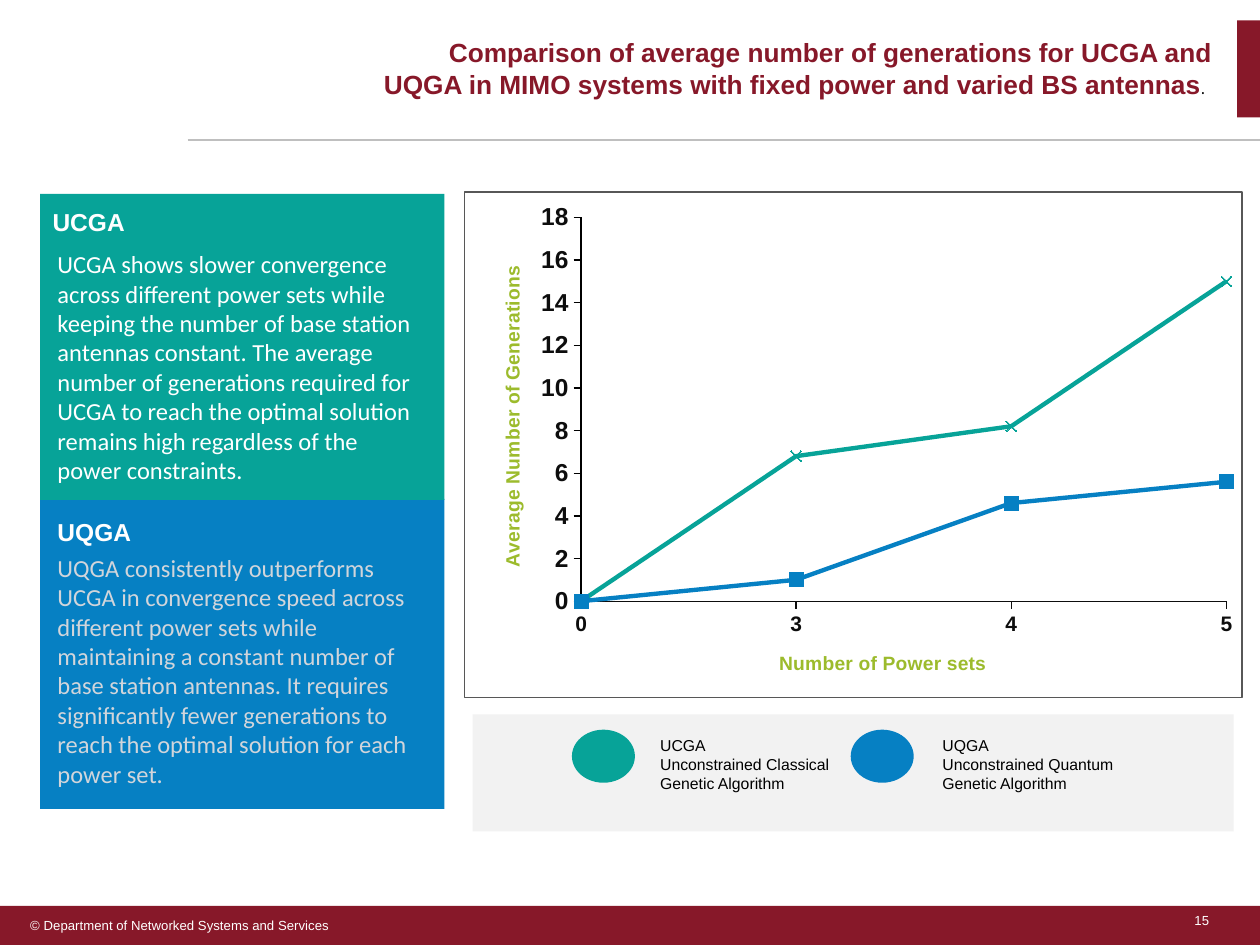
import pptx
import pptx.chart.data
import pptx.dml.color
import pptx.enum.chart
import pptx.enum.shapes
import pptx.enum.text
import pptx.oxml
import pptx.oxml.ns
import pptx.util
from dataclasses import dataclass

Cm, Pt = pptx.util.Cm, pptx.util.Pt
SHAPE = pptx.enum.shapes.MSO_SHAPE
ANCHOR = pptx.enum.text.MSO_ANCHOR
ALIGN = pptx.enum.text.PP_ALIGN
MARKER = pptx.enum.chart.XL_MARKER_STYLE
NAMESPACES = pptx.oxml.ns.nsdecls("a", "c")


@dataclass(frozen=True)
class Theme:
    maroon: str = "871829"
    teal: str = "07A398"
    blue: str = "0680C3"
    green: str = "9CBB2C"
    white: str = "FFFFFF"
    black: str = "000000"
    ink: str = "0D0D0D"
    pale: str = "D1D5DB"
    panel: str = "F2F2F2"
    rule: str = "BFBFBF"
    border: str = "575757"
    title_size: float = 15
    body_size: float = 14
    axis_size: float = 12
    axis_title_size: float = 11
    legend_size: float = 9
    footer_size: float = 7.5


THEME = Theme()


def rgb(value):
    return pptx.dml.color.RGBColor.from_string(value)


def set_font(font, color, **formats):
    font.color.rgb = rgb(color)
    for name, value in formats.items():
        setattr(font, name, value)


def set_formats(target, **formats):
    for name, value in formats.items():
        setattr(target, name, value)


def write_text(shape, lines, size, color, bold=False, font="Arial", **frame_formats):
    set_formats(shape.text_frame, **{"word_wrap": True, **frame_formats})
    shape.text_frame.text = "\n".join(lines)
    for paragraph in shape.text_frame.paragraphs:
        paragraph.alignment = ALIGN.LEFT
        for run in paragraph.runs:
            set_font(run.font, color, name=font, size=Pt(size), bold=bold)


def add_block(slide, box, color, kind=SHAPE.RECTANGLE):
    shape = slide.shapes.add_shape(kind, *map(Cm, box))
    shape.shadow.inherit = False
    shape.fill.solid()
    shape.fill.fore_color.rgb = rgb(color)
    shape.line.fill.background()
    return shape


def add_text(slide, box, *text, **formats):
    write_text(slide.shapes.add_textbox(*map(Cm, box)), *text, **formats)


def add_rule(slide, start, end):
    line = slide.shapes.add_connector(
        pptx.enum.shapes.MSO_CONNECTOR.STRAIGHT, *map(Cm, start + end))
    line.line.color.rgb = rgb(THEME.rule)
    line.line.width = Pt(0.75)
    line._element.spPr.append(pptx.oxml.parse_xml(f"<a:effectLst {NAMESPACES}/>"))


def fill_title(slide):
    title = slide.shapes.title
    title.left, title.top, title.width, title.height = map(Cm, (7.32, 0.61, 17.37, 2.36))
    set_formats(title.text_frame, word_wrap=True, vertical_anchor=ANCHOR.TOP,
                auto_size=pptx.enum.text.MSO_AUTO_SIZE.NONE)
    paragraph = title.text_frame.paragraphs[0]
    paragraph.alignment = ALIGN.RIGHT
    heading = ("Comparison of average number of generations for UCGA and "
               "UQGA in MIMO systems with fixed power and varied BS antennas")
    for text, font, size, color, bold in (
            (heading, "Arial", THEME.title_size, THEME.maroon, True),
            (".", "Cambria", 10.5, THEME.black, False),
            (" ", "Arial", THEME.title_size, THEME.maroon, True)):
        run = paragraph.add_run()
        run.text = text
        set_font(run.font, color, name=font, size=Pt(size), bold=bold)


def format_axis(axis, title, size, line_color):
    set_formats(axis, has_major_gridlines=False,
                major_tick_mark=pptx.enum.chart.XL_TICK_MARK.OUTSIDE)
    set_font(axis.tick_labels.font, THEME.ink, name="Arial", size=Pt(size), bold=True)
    axis.format.line.color.rgb = rgb(line_color)
    axis.format.line.width = Pt(0.75)
    axis.axis_title.text_frame.text = title
    set_font(axis.axis_title.text_frame.paragraphs[0].runs[0].font, THEME.green,
             name="Arial", size=Pt(THEME.axis_title_size), bold=True)


def layout_xml(target, **fractions):
    """Manual placement, as fractions of the chart's width and height."""
    inner = '<c:layoutTarget val="inner"/>' if target else ""
    modes = '<c:xMode val="edge"/><c:yMode val="edge"/>'
    places = "".join(f'<c:{name} val="{value}"/>' for name, value in fractions.items())
    return pptx.oxml.parse_xml(f"<c:layout {NAMESPACES}><c:manualLayout>{inner}{modes}"
                               f"{places}</c:manualLayout></c:layout>")


def place(element, layout, index):
    for old in element.findall(pptx.oxml.ns.qn("c:layout")):
        element.remove(old)
    element.insert(index, layout)


def add_line_chart(slide, box):
    data = pptx.chart.data.CategoryChartData()
    data.categories = ["0", "3", "4", "5"]
    data.add_series("Series 1", (0, 6.8, 8.2, 15))
    data.add_series("Series 2", (0, 1, 4.6, 5.6))
    chart = slide.shapes.add_chart(
        pptx.enum.chart.XL_CHART_TYPE.LINE_MARKERS, *map(Cm, box), data).chart
    set_formats(chart, has_legend=False, has_title=False)
    set_font(chart.font, THEME.green, name="Arial", size=Pt(18))
    chart.plots[0].vary_by_categories = False

    # Series
    styles = ((THEME.teal, MARKER.X, 6), (THEME.blue, MARKER.SQUARE, 8))
    for series, (color, marker, size) in zip(chart.plots[0].series, styles):
        series.smooth = False
        set_formats(series.marker, style=marker, size=size)
        series.marker.format.fill.solid()
        series.marker.format.fill.fore_color.rgb = rgb(color)
        series.format.line.width = Pt(2.5)
        for line in (series.format.line, series.marker.format.line):
            line.color.rgb = rgb(color)

    # Axes, with the first category on the value axis
    format_axis(chart.category_axis, "Number of Power sets", THEME.axis_size, THEME.ink)
    format_axis(chart.value_axis, "Average Number of Generations",
                THEME.body_size, THEME.black)
    set_formats(chart.value_axis, minimum_scale=0, maximum_scale=18, major_unit=2)
    major_unit = chart.value_axis._element.find(pptx.oxml.ns.qn("c:majorUnit"))
    major_unit.addprevious(
        pptx.oxml.parse_xml(f'<c:crossBetween {NAMESPACES} val="midCat"/>'))

    # Placement and frame
    space = chart._chartSpace
    place(space.chart.plotArea, layout_xml(True, x=0.15, y=0.05, w=0.83, h=0.76), 0)
    place(chart.category_axis.axis_title._element, layout_xml(False, x=0.4, y=0.9), 1)
    place(chart.value_axis.axis_title._element, layout_xml(False, x=0.04, y=0.14), 1)
    space.chart.addnext(pptx.oxml.parse_xml(
        f'<c:spPr {NAMESPACES}><a:solidFill><a:srgbClr val="{THEME.white}"/></a:solidFill>'
        f'<a:ln w="9525"><a:solidFill><a:srgbClr val="{THEME.border}"/></a:solidFill>'
        "</a:ln></c:spPr>"))


def add_legend_entry(slide, left, text_left, color, lines):
    add_block(slide, (left, 14.71, 1.27, 1.07), color, SHAPE.OVAL)
    add_text(slide, (text_left, 14.71, 4.17, 1.42), lines, THEME.legend_size, THEME.black)


def main():
    presentation = pptx.Presentation()
    set_formats(presentation, slide_width=Cm(25.4), slide_height=Cm(19.05))
    slide = presentation.slides.add_slide(presentation.slide_layouts[5])

    # Header and footer
    add_block(slide, (24.94, 0.41, 0.46, 1.96), THEME.maroon)
    footer = add_block(slide, (0, 18.26, 25.4, 0.79), THEME.maroon)
    write_text(footer, ["© Department of Networked Systems and Services"], THEME.footer_size,
               THEME.white, vertical_anchor=ANCHOR.MIDDLE, margin_left=Cm(0.61))
    add_rule(slide, (3.78, 2.82), (25.4, 2.82))
    add_text(slide, (23.83, 18.26, 0.84, 0.58), ["15"], THEME.footer_size, THEME.white,
             word_wrap=False)
    fill_title(slide)

    add_line_chart(slide, (9.35, 3.86, 15.7, 10.21))

    # Findings
    add_block(slide, (0.81, 10.06, 8.15, 6.25), THEME.blue)
    add_block(slide, (0.81, 3.91, 8.15, 6.17), THEME.teal)
    findings = (
        ("UCGA", (0.81, 4.09, 6.76, 0.76), (0.91, 4.9, 7.77, 5.05), THEME.white,
         "UCGA shows slower convergence across different power sets while keeping the number "
         "of base station antennas constant. The average number of generations required for "
         "UCGA to reach the optimal solution remains high regardless of the power constraints."),
        ("UQGA", (0.91, 10.29, 6.91, 0.86), (0.91, 11.02, 8.18, 5.05), THEME.pale,
         "UQGA consistently outperforms UCGA in convergence speed across different power sets "
         "while maintaining a constant number of base station antennas. It requires "
         "significantly fewer generations to reach the optimal solution for each power set."))
    for name, heading_box, body_box, color, body in findings:
        add_text(slide, heading_box, [name], THEME.body_size, THEME.white, bold=True,
                 vertical_anchor=ANCHOR.MIDDLE)
        add_text(slide, body_box, [body], THEME.body_size, color, font="Calibri")

    # Legend
    add_block(slide, (9.53, 14.4, 15.34, 2.36), THEME.panel)
    add_legend_entry(slide, 11.53, 13.06, THEME.teal,
                     ["UCGA", "Unconstrained Classical Genetic Algorithm"])
    add_legend_entry(slide, 17.15, 18.75, THEME.blue,
                     ["UQGA", "Unconstrained Quantum Genetic Algorithm"])

    presentation.save("out.pptx")


if __name__ == "__main__":
    main()
